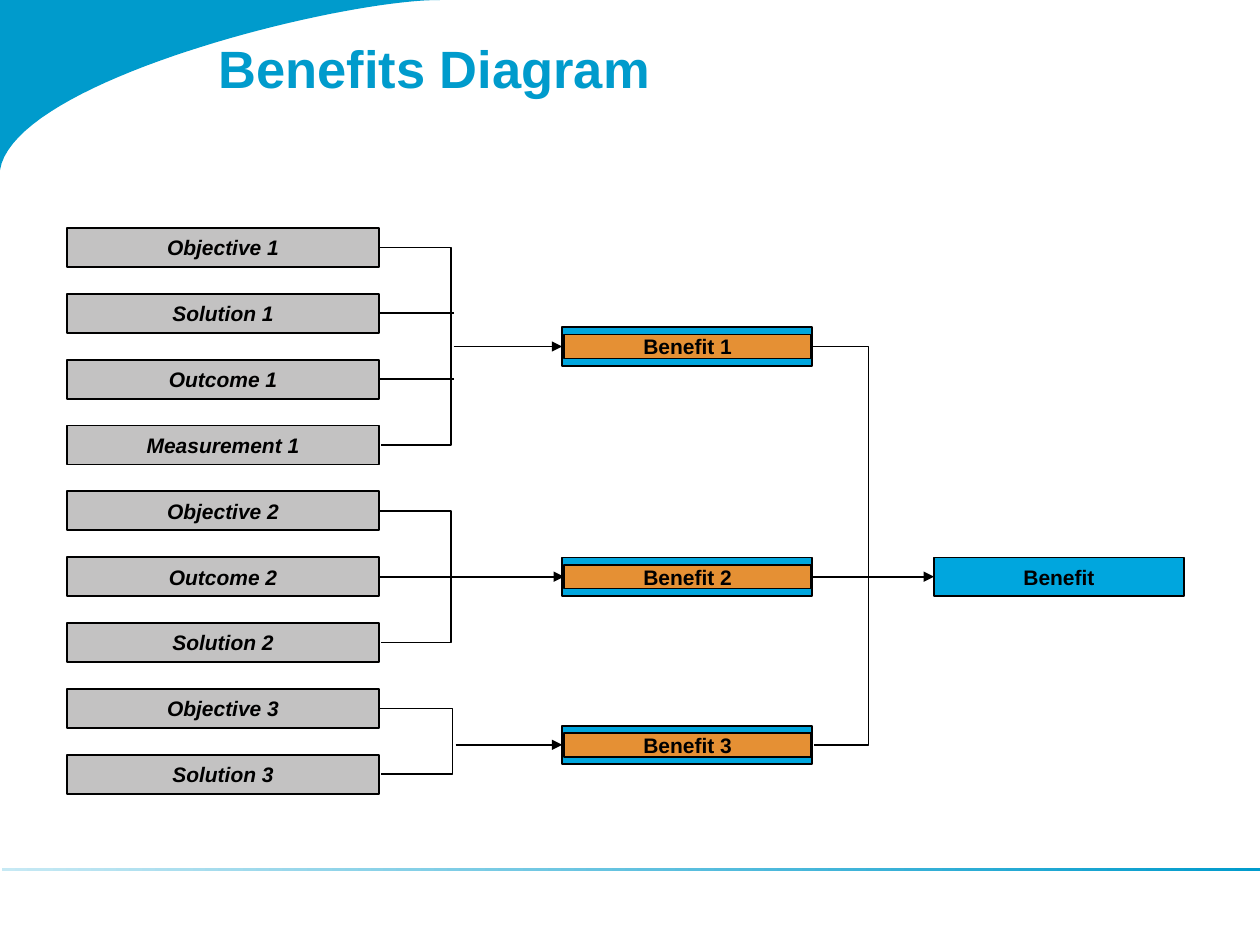
from lxml import etree
from pptx import Presentation, util as u
from pptx.dml import color
from pptx.enum import shapes, text
from pptx.oxml import ns

Pt = u.Pt
BLACK, GRAY, ORANGE = "000000", "C3C2C2", "E59034"
TEAL, SKY, PALE = "009BCC", "00A6DE", "C6E9F4"
LEFT, RIGHT = 1, 3  # connection sites

# Grid of the left column, in points
ROW_TOP, ROW_STEP, ROW_H = 130.3, 37.62, 22.3
ROWS = ["Objective 1", "Solution 1", "Outcome 1", "Measurement 1",
        "Objective 2", "Outcome 2", "Solution 2", "Objective 3", "Solution 3"]


def rgb(value):
    return color.RGBColor.from_string(value)


def write(tf, words, size=12, fill=BLACK, bold=True, italic=False,
          align=text.PP_ALIGN.CENTER, anchor=text.MSO_ANCHOR.MIDDLE,
          insets=(7.2, 3.6, 7.2, 3.6)):
    tf.word_wrap = True
    tf.auto_size = text.MSO_AUTO_SIZE.NONE
    tf.vertical_anchor = anchor
    tf.margin_left, tf.margin_top, tf.margin_right, tf.margin_bottom = map(Pt, insets)
    p = tf.paragraphs[0]
    p.alignment = align
    r = p.add_run()
    r.text = words
    f = r.font
    f.name, f.size, f.bold, f.italic = "Arial", Pt(size), bold, italic
    f.color.rgb = rgb(fill)


def cubic(p0, p1, p2, p3, steps=40):
    """Points along a cubic curve, after its first point."""
    for i in range(1, steps + 1):
        t = i / steps
        weights = (1 - t) ** 3, 3 * t * (1 - t) ** 2, 3 * t * t * (1 - t), t ** 3
        yield tuple(sum(w * q[k] for w, q in zip(weights, (p0, p1, p2, p3)))
                    for k in (0, 1))


def row_middle(row):
    return ROW_TOP + row * ROW_STEP + ROW_H / 2


class Diagram:
    def __init__(self, slide, line_width=1):
        self.s = slide
        self.line_width = line_width

    def title(self, words, x, y, w, h):
        sp = self.s.shapes.title
        sp.left, sp.top, sp.width, sp.height = map(Pt, (x, y, w, h))
        write(sp.text_frame, words, size=30, fill=TEAL,
              align=text.PP_ALIGN.LEFT, anchor=text.MSO_ANCHOR.TOP,
              insets=(6, 20.5, 6, 3))

    def corner(self, points):
        start, *rest = [(Pt(x), Pt(y)) for x, y in points]
        builder = self.s.shapes.build_freeform(*start)
        builder.add_line_segments(rest, close=True)
        sp = builder.convert_to_shape()
        sp.shadow.inherit = False
        sp.fill.solid()
        sp.fill.fore_color.rgb = rgb(TEAL)
        sp.line.fill.background()

    def box(self, x, middle, w, h, fill, words=None, **fmt):
        """Outlined rectangle centred on the height `middle`."""
        sp = self.s.shapes.add_shape(shapes.MSO_SHAPE.RECTANGLE, Pt(x),
                                     Pt(middle - h / 2), Pt(w), Pt(h))
        sp.shadow.inherit = False
        sp.fill.solid()
        sp.fill.fore_color.rgb = rgb(fill)
        sp.line.color.rgb = rgb(BLACK)
        sp.line.width = Pt(self.line_width)
        if words:
            write(sp.text_frame, words, **fmt)
        return sp

    def rule(self, x, y, w, h):
        sp = self.s.shapes.add_shape(shapes.MSO_SHAPE.RECTANGLE,
                                     Pt(x), Pt(y), Pt(w), Pt(h))
        sp.shadow.inherit = False
        sp.line.fill.background()
        sp.fill.gradient()
        sp.fill.gradient_angle = 0
        for stop, value, at in zip(sp.fill.gradient_stops, (PALE, TEAL), (0, 1)):
            stop.color.rgb = rgb(value)
            stop.position = at

    def connector(self, kind, x1, y1, x2, y2):
        c = self.s.shapes.add_connector(kind, Pt(x1), Pt(y1), Pt(x2), Pt(y2))
        c.line.color.rgb = rgb(BLACK)
        c.line.width = Pt(self.line_width)
        etree.SubElement(c._element.spPr, ns.qn("a:effectLst"))
        return c

    def line(self, x1, y1, x2, y2, begin=None, end=None, arrow=False):
        """Straight line from the right of `begin` to the left of `end`."""
        c = self.connector(shapes.MSO_CONNECTOR.STRAIGHT, x1, y1, x2, y2)
        if begin is not None:
            c.begin_connect(begin, RIGHT)
        if end is not None:
            c.end_connect(end, LEFT)
        if arrow:
            etree.SubElement(c.line._get_or_add_ln(), ns.qn("a:tailEnd"), type="triangle")

    def bracket(self, x, y1, y2, reach):
        """Elbow open to the left, going `reach` points out from x."""
        c = self.connector(shapes.MSO_CONNECTOR.ELBOW, x, y1, x + 1, y2)
        guides = c._element.spPr.find(ns.qn("a:prstGeom")).get_or_add_avLst()
        etree.SubElement(guides, ns.qn("a:gd"), name="adj1",
                         fmla=f"val {round(reach * 100000)}")


def main():
    prs = Presentation()
    prs.slide_width, prs.slide_height = Pt(720), Pt(540)
    d = Diagram(prs.slides.add_slide(prs.slide_layouts[5]))

    tip = (0, 97.2)
    d.corner([(0, 0), tip, *cubic(tip, (8, 46), (193, 0), (251.3, 0))])
    d.rule(1.2, 496, 718.8, 1.6)
    d.title("Benefits Diagram", 118.8, 0, 553, 106)

    rows = [d.box(38.2, row_middle(i), 178.5, ROW_H, GRAY, words, italic=True)
            for i, words in enumerate(ROWS)]
    row_right, benefit_left, benefit_right = 216.7, 321.3, 464.2
    middles = [198, row_middle(5), 425.6]
    outer, inner = [], []
    for number, middle in enumerate(middles, 1):
        outer.append(d.box(benefit_left, middle, 142.9, 21.9, SKY))
        inner.append(d.box(322.3, middle, 141.4, 13.7, ORANGE, f"Benefit {number}"))
    total = d.box(533.7, middles[1], 142.9, 21.9, SKY, "Benefit")

    for first, last, reach in ((0, 3, 41.2), (4, 6, 41.2), (7, 8, 42.2)):
        d.bracket(row_right, row_middle(first), row_middle(last), reach)
    d.bracket(benefit_right, middles[0], middles[2], 32.4)

    for row in (1, 2):
        d.line(row_right, row_middle(row), 259.2, row_middle(row), begin=rows[row])
    for i, x in ((0, 259.2), (2, 260.4)):
        d.line(x, middles[i], benefit_left, middles[i], end=outer[i], arrow=True)
    d.line(row_right, middles[1], 322.3, middles[1],
           begin=rows[5], end=inner[1], arrow=True)
    d.line(benefit_right, middles[1], 533.7, middles[1],
           begin=outer[1], end=total, arrow=True)

    prs.save("out.pptx")


if __name__ == "__main__":
    main()
